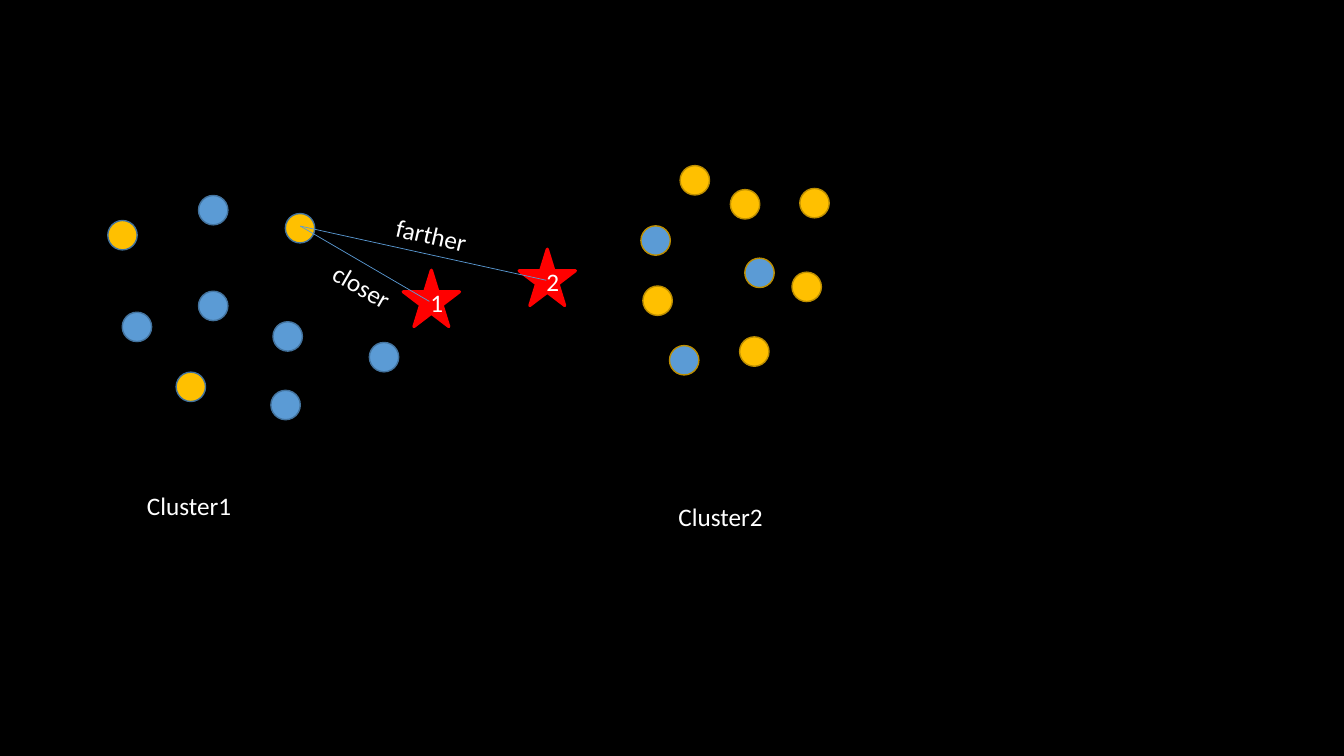
from lxml import etree
from pptx import Presentation
from pptx.dml.color import RGBColor
from pptx.enum.shapes import MSO_CONNECTOR, MSO_SHAPE
from pptx.enum.text import MSO_ANCHOR, MSO_AUTO_SIZE, PP_ALIGN
from pptx.oxml.ns import qn
from pptx.util import Pt

ELLIPSE, STAR = MSO_SHAPE.OVAL, MSO_SHAPE.STAR_5_POINT
STRAIGHT = MSO_CONNECTOR.STRAIGHT
MIDDLE, CENTER = MSO_ANCHOR.MIDDLE, PP_ALIGN.CENTER
FIT_SHAPE = MSO_AUTO_SIZE.SHAPE_TO_FIT_TEXT

BLACK = RGBColor(0x00, 0x00, 0x00)
WHITE = RGBColor(0xFF, 0xFF, 0xFF)
RED = RGBColor(0xFF, 0x00, 0x00)
BLUE = RGBColor(0x5B, 0x9B, 0xD5)
DARK_BLUE = RGBColor(0x43, 0x73, 0x9E)
GOLD = RGBColor(0xFF, 0xC0, 0x00)
DARK_GOLD = RGBColor(0xBD, 0x8E, 0x00)

DOT_SIZE = 21
STAR_SIZE = 40.3
LABEL_HEIGHT = 29
TEXT_FORMAT = {"name": "Calibri", "size": Pt(18)}

presentation = Presentation()
presentation.slide_width, presentation.slide_height = Pt(960), Pt(540)
slide = presentation.slides.add_slide(presentation.slide_layouts[6])
slide.background.fill.solid()
slide.background.fill.fore_color.rgb = BLACK


def add_marker(kind, left, top, size, fill, outline, outline_width):
    shape = slide.shapes.add_shape(kind, Pt(left), Pt(top), Pt(size), Pt(size))
    shape.shadow.inherit = False
    shape.fill.solid()
    shape.fill.fore_color.rgb = fill
    shape.line.color.rgb = outline
    shape.line.width = Pt(outline_width)
    return shape


def write_text(shape, text):
    """Put one line of white text in the shape and return its paragraph."""
    paragraph = shape.text_frame.paragraphs[0]
    run = paragraph.add_run()
    run.text = text
    for attribute, value in TEXT_FORMAT.items():
        setattr(run.font, attribute, value)
    run.font.color.rgb = WHITE
    return paragraph


# Each cluster: outline colour, then the dots' left, top and fill
clusters = [
    (DARK_BLUE, [
        (141.8, 139.6, BLUE), (141.8, 208, BLUE), (203.8, 152.5, GOLD),
        (195, 229.8, BLUE), (77, 157.5, GOLD), (87.3, 223, BLUE),
        (125.8, 265.8, GOLD), (193.5, 278.8, BLUE), (263.8, 244.6, BLUE),
    ]),
    (DARK_GOLD, [
        (478.2, 246.8, BLUE), (521.7, 135.4, GOLD), (485.8, 118.3, GOLD),
        (457.8, 161.3, BLUE), (459.2, 204.3, GOLD), (528.3, 240.6, GOLD),
        (565.7, 194.4, GOLD), (571.3, 134.6, GOLD), (532, 184.4, BLUE),
    ]),
]
for outline, dots in clusters:
    for left, top, fill in dots:
        add_marker(ELLIPSE, left, top, DOT_SIZE, fill, outline, 1)

for number, left, top in [("1", 288, 193), ("2", 370.8, 178)]:
    star = add_marker(STAR, left, top, STAR_SIZE, RED, RED, 2.25)
    star.text_frame.vertical_anchor = MIDDLE
    write_text(star, number).alignment = CENTER

# Distances from one dot to the two stars
for end_x, end_y in [(306.7, 215.3), (390.2, 200.2)]:
    distance = slide.shapes.add_connector(
        STRAIGHT, Pt(214.5), Pt(161.5), Pt(end_x), Pt(end_y))
    distance.line.color.rgb = BLUE
    distance.line.width = Pt(0.5)
    etree.SubElement(distance._element.spPr, qn("a:effectLst"))

labels = [
    ("Cluster1", 97.9, 347, 75.6, 0),
    ("Cluster2", 477.5, 354.5, 75.6, 0),
    ("closer", 229.7, 190.1, 58.3, 30),
    ("farther", 275.8, 153.4, 65.5, 13),
]
for text, left, top, width, rotation in labels:
    label = slide.shapes.add_textbox(Pt(left), Pt(top), Pt(width), Pt(LABEL_HEIGHT))
    label.rotation = rotation
    label.text_frame.word_wrap = False
    label.text_frame.auto_size = FIT_SHAPE
    write_text(label, text)

presentation.save("out.pptx")
